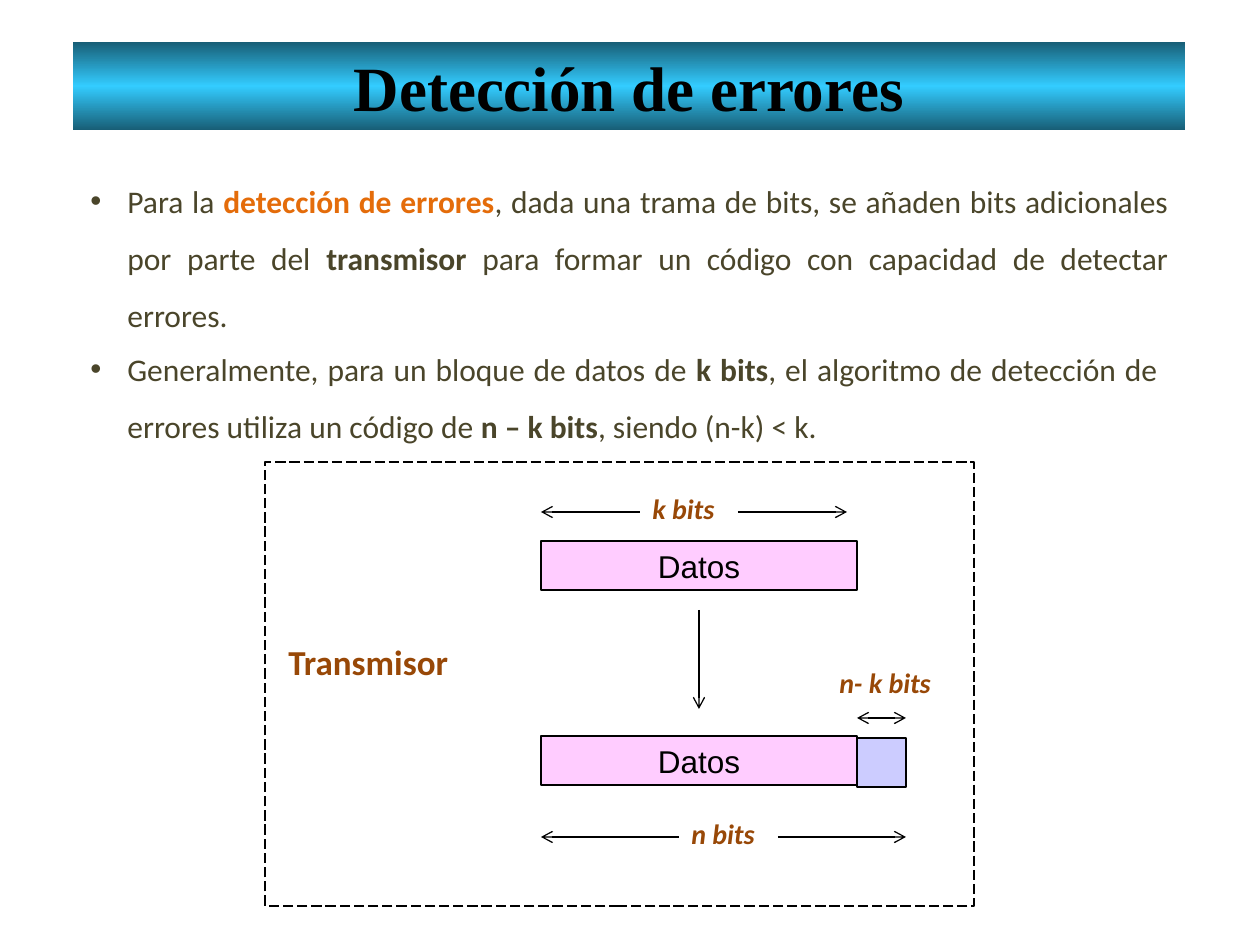
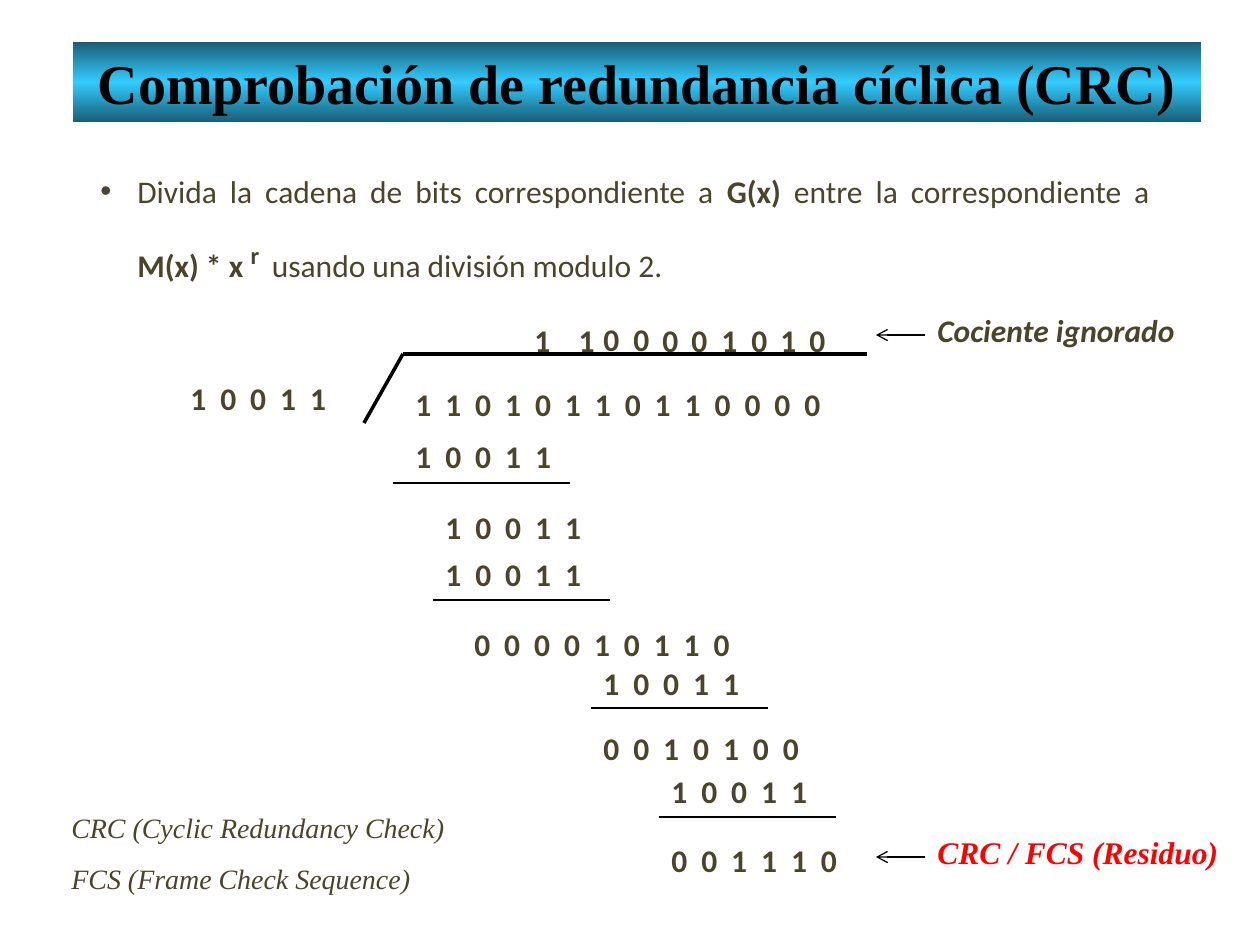
"""Build two slides on error detection and cyclic redundancy checks."""
from copy import deepcopy
from lxml.etree import SubElement
from pptx import Presentation
from pptx.dml.color import RGBColor
from pptx.enum.dml import MSO_LINE
from pptx.enum.shapes import MSO_CONNECTOR, MSO_SHAPE
from pptx.enum.text import MSO_ANCHOR, MSO_AUTO_SIZE, PP_ALIGN
from pptx.oxml.ns import qn
from pptx.util import Inches, Pt

PX = Inches(1) / 126
BLACK = RGBColor(0x00, 0x00, 0x00)
TEAL = RGBColor(0x18, 0x5E, 0x76)
CYAN = RGBColor(0x33, 0xCC, 0xFF)
OLIVE = RGBColor(0x4A, 0x45, 0x2A)
ORANGE = RGBColor(0xE4, 0x6C, 0x0A)
BROWN = RGBColor(0x98, 0x48, 0x07)
RED = RGBColor(0xFF, 0x00, 0x00)
PINK = RGBColor(0xFF, 0xCC, 0xFF)
LILAC = RGBColor(0xCC, 0xCC, 0xFF)
SERIF = "Times New Roman"
HANGING = 37


def add_text(s, box, text, size=18, color=OLIVE, font="Calibri", bold=True,
             italic=False, hanging=False, align=None, spacing=0):
    """Add a text box; a list of (text, bold) pairs makes one mixed paragraph."""
    sp = s.shapes.add_textbox(*[round(v * PX) for v in box])
    tf = sp.text_frame
    tf.word_wrap = True
    if isinstance(text, str):
        tf.text = text
    else:
        for part, _ in text:
            tf.paragraphs[0].add_run().text = part
    for p in tf.paragraphs:
        p.alignment = align
        if hanging:
            p.line_spacing = 1.5
            pPr = p._p.get_or_add_pPr()
            pPr.set("marL", str(round(HANGING * PX)))
            pPr.set("indent", str(round(-HANGING * PX)))
        for i, r in enumerate(p.runs):
            r.font.name, r.font.size = font, Pt(size)
            r.font.bold = bold if isinstance(text, str) else text[i][1]
            r.font.italic = italic
            r.font.color.rgb = color
            if spacing:
                r._r.get_or_add_rPr().set("spc", str(spacing * 100))
    return tf.paragraphs[0]


def add_line(s, points, ends=(), width=0.75):
    """Add a black straight line with arrowheads at the named ends."""
    c = s.shapes.add_connector(MSO_CONNECTOR.STRAIGHT, *[round(v * PX) for v in points])
    c.line.color.rgb = BLACK
    c.line.width = Pt(width)
    spPr = c._element.spPr
    for end in ends:
        SubElement(spPr.find(qn("a:ln")), qn(f"a:{end}")).set("type", "arrow")
    SubElement(spPr, qn("a:effectLst"))


prs = Presentation()
prs.slide_width, prs.slide_height = Inches(10), Inches(7.5)

slides = []
for title, size, width, height in [
    ("Detección de errores", 36, 1112, 88),
    ("Comprobación de redundancia cíclica (CRC)", 32, 1128, 80),
]:
    s = prs.slides.add_slide(prs.slide_layouts[5])
    slides.append(s)
    sp = s.shapes.title
    sp.left, sp.top, sp.width, sp.height = [round(v * PX) for v in (73, 42, width, height)]
    sp.fill.gradient()
    sp.fill.gradient_angle = 90
    stop_list = sp._element.spPr.find(qn("a:gradFill")).find(qn("a:gsLst"))
    stop_list.append(deepcopy(stop_list[0]))
    for stop, position, color in zip(sp.fill.gradient_stops, (0, 0.5, 1), (TEAL, CYAN, TEAL)):
        stop.position = position
        stop.color.rgb = color
    tf = sp.text_frame
    tf.text = title
    tf.auto_size = MSO_AUTO_SIZE.NONE
    tf.vertical_anchor = MSO_ANCHOR.TOP
    p = tf.paragraphs[0]
    p.alignment = PP_ALIGN.CENTER
    f = p.runs[0].font
    f.name, f.size, f.bold = SERIF, Pt(size), True
    f.color.rgb = BLACK
detection, crc = slides

bullets = []
for s, box, parts in [
    (detection, (78, 157, 1103, 184), [
        ("Para la ", False), ("detección de errores", True),
        (", dada una trama de bits, se añaden bits adicionales por parte del ", False),
        ("transmisor", True),
        (" para formar un código con capacidad de detectar errores.", False)]),
    (detection, (78, 325, 1092, 120), [
        ("Generalmente, para un bloque de datos de ", False), ("k bits", True),
        (", el algoritmo de detección de errores utiliza un código de ", False),
        ("n – k bits", True), (", siendo (n-k) < k.", False)]),
    (crc, (88, 147, 1074, 120), [
        ("Divida la cadena de bits correspondiente a ", False), ("G(x)", True),
        (" entre la correspondiente a ", False), ("M(x) * x ", True), ("r ", True),
        (" usando una división modulo 2.", False)]),
]:
    p = add_text(s, box, parts, hanging=True, align=PP_ALIGN.JUSTIFY)
    pPr = p._p.get_or_add_pPr()
    SubElement(pPr, qn("a:buFont")).set("typeface", "Arial")
    SubElement(pPr, qn("a:buChar")).set("char", "•")
    bullets.append(p)
bullets[0].runs[1].font.color.rgb = ORANGE
exponent = bullets[2].runs[4]
exponent.font.size = Pt(24)
exponent._r.get_or_add_rPr().set("baseline", "30000")

for box, fill, label in [
    ((541, 541, 316, 49), PINK, "Datos"),
    ((541, 736, 316, 49), PINK, "Datos"),
    ((857, 738, 49, 49), LILAC, ""),
    ((265, 462, 709, 444), None, ""),
]:
    sp = detection.shapes.add_shape(MSO_SHAPE.RECTANGLE, *[round(v * PX) for v in box])
    sp.shadow.inherit = False
    sp.line.color.rgb = BLACK
    sp.line.width = Pt(0.75)
    if fill is None:
        sp.fill.background()
        sp.line.dash_style = MSO_LINE.LONG_DASH
    else:
        sp.fill.solid()
        sp.fill.fore_color.rgb = fill
    if label:
        sp.text_frame.text = label
        p = sp.text_frame.paragraphs[0]
        p.alignment = PP_ALIGN.CENTER
        f = p.runs[0].font
        f.name, f.size = "Arial", Pt(18)
        f.color.rgb = BLACK

for points in [
    (738, 512, 847, 512), (640, 512, 541, 512), (699, 610, 699, 709),
    (778, 837, 906, 837), (679, 837, 541, 837),
]:
    add_line(detection, points, ["tailEnd"])
add_line(detection, (857, 718, 906, 718), ["headEnd", "tailEnd"])

for label, x, y, width in [("k bits", 640, 485, 108), ("n- k bits", 827, 659, 129),
                           ("n bits", 679, 810, 108)]:
    add_text(detection, (x, y, width, 47), label, 16, BROWN, italic=True)
add_text(detection, (276, 634, 217, 55), "Transmisor", 20, BROWN)

for bits, x, y, width in [
    ("11010110110000", 403, 360, 473), ("10011", 178, 354, 197),
    ("10011", 403, 412, 197), ("10011", 433, 483, 217),
    ("10011", 433, 530, 197), ("000010110", 462, 600, 532),
    ("10011", 591, 639, 197), ("0010100", 591, 704, 305),
    ("10011", 659, 747, 197), ("001110", 659, 816, 217),
    ("1", 522, 296, 39),
]:
    add_text(crc, (x, y, width, 71), bits, hanging=True, align=PP_ALIGN.JUSTIFY, spacing=8)
add_text(crc, (552, 296, 69, 71), "1", hanging=True, align=PP_ALIGN.CENTER, spacing=8)
for i, bit in enumerate("00001010"):
    y = 295 if i < 2 else 296
    add_text(crc, (591 + round(29.5 * i), y, 147, 71), bit, hanging=True, spacing=8)

add_line(crc, (403, 354, 364, 423), width=2)
add_line(crc, (403, 354, 867, 354), width=2)
for x, y in [(393, 483), (433, 600), (591, 708), (659, 817)]:
    add_line(crc, (x, y, x + 177, y))
for y in (335, 857):
    add_line(crc, (925, y, 876, y), ["tailEnd"])

add_text(crc, (925, 305, 315, 50), "Cociente ignorado", italic=True)
add_text(crc, (925, 827, 335, 50), "CRC / FCS (Residuo)", color=RED, font=SERIF, italic=True)
add_text(crc, (59, 788, 473, 115),
         "CRC (Cyclic Redundancy Check)\nFCS (Frame Check Sequence)", 16, font=SERIF,
         bold=False, italic=True, hanging=True, align=PP_ALIGN.JUSTIFY)

prs.save("out.pptx")
